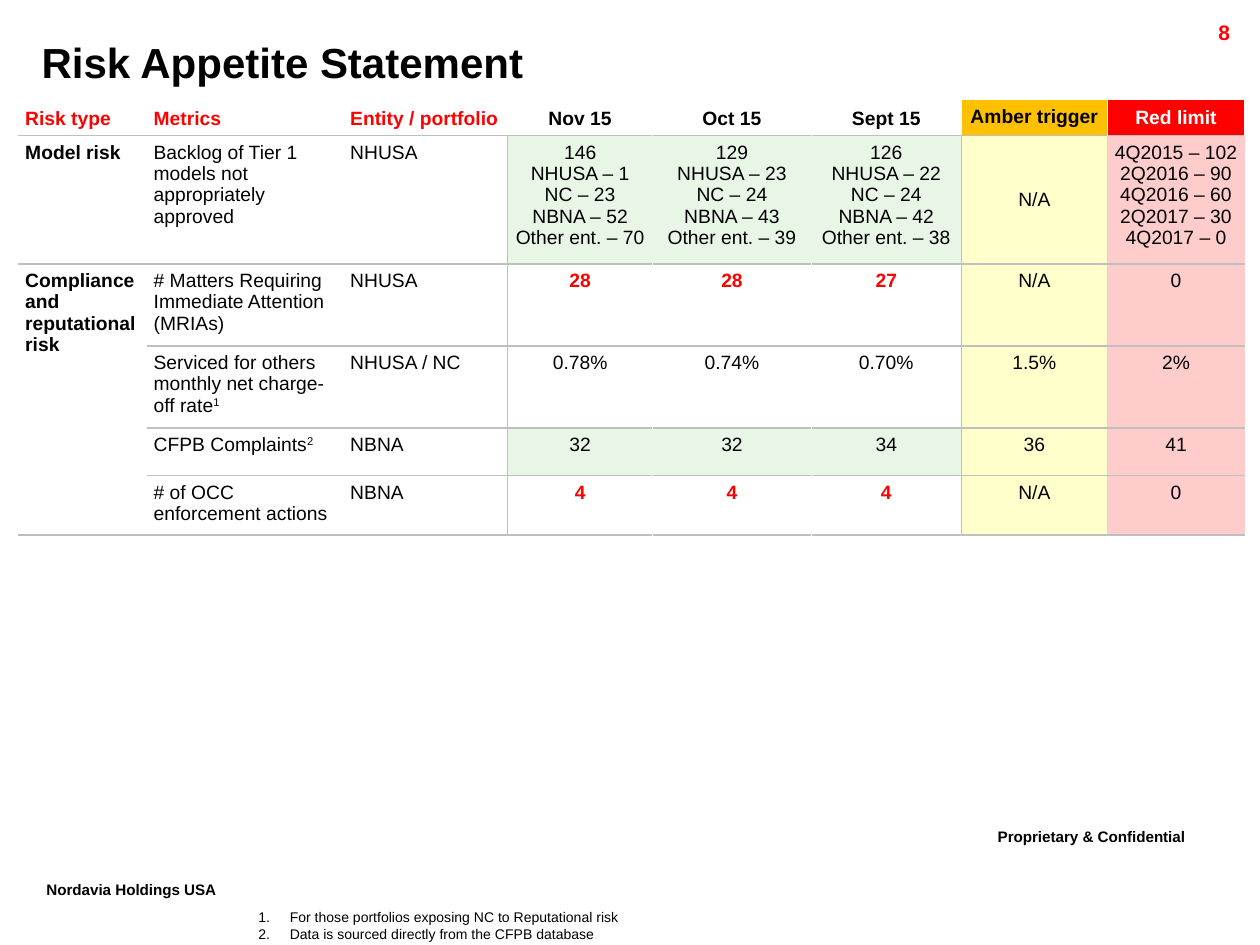
from dataclasses import dataclass
from typing import Any, Optional

from lxml.etree import SubElement
from pptx import Presentation
from pptx.enum.text import MSO_ANCHOR, MSO_AUTO_SIZE, PP_ALIGN
from pptx.oxml.ns import qn
from pptx.util import Inches, Pt
from pptx.dml.color import RGBColor

COLORS = {
    "black": "000000",
    "white": "FFFFFF",
    "red": "FF0000",
    "amber": "FFC000",
    "green_tint": "E8F6E6",
    "amber_tint": "FFFFCC",
    "red_tint": "FFCCCC",
    "rule": "BFBFBF",
}
FONT = "Arial"
COLUMN_WIDTHS = [1.02, 1.56, 1.3, 1.15, 1.26, 1.19, 1.16, 1.09]
HEADER_HEIGHT = 0.27
HEADERS = ["Risk type", "Metrics", "Entity / portfolio", "Nov 15", "Oct 15",
           "Sept 15", "Amber trigger", "Red limit"]
HEADER_FILLS = [None] * 3 + ["white"] * 3 + ["amber", "red"]
HEADER_INKS = ["red"] * 3 + ["black"] * 4 + ["white"]
HEADER_ANCHORS = [MSO_ANCHOR.BOTTOM] * 6 + [MSO_ANCHOR.TOP, MSO_ANCHOR.MIDDLE]
FIRST_MONTH, AMBER_COLUMN = 3, 6
RULED_EDGES = {FIRST_MONTH, AMBER_COLUMN}


@dataclass
class Metric:
    height: float
    risk: str
    name: str
    entity: str
    months: list[str]
    amber: str
    limit: str
    month_fill: Optional[str] = None
    breached: bool = False
    amber_anchor: Any = MSO_ANCHOR.TOP


@dataclass
class Label:
    text: str
    left: float
    top: float
    width: float
    height: float
    size: float
    color: str = "black"
    alignment: Any = PP_ALIGN.LEFT
    raised: bool = False


METRICS = [
    Metric(1.02, "Model risk", "Backlog of Tier 1 models not appropriately approved", "NHUSA",
           ["146\nNHUSA – 1\nNC – 23\nNBNA – 52\nOther ent. – 70",
            "129\nNHUSA – 23\nNC – 24\nNBNA – 43\nOther ent. – 39",
            "126\nNHUSA – 22\nNC – 24\nNBNA – 42\nOther ent. – 38"],
           "N/A", "4Q2015 – 102\n2Q2016 – 90\n4Q2016 – 60\n2Q2017 – 30\n4Q2017 – 0",
           "green_tint", amber_anchor=MSO_ANCHOR.MIDDLE),
    Metric(0.65, "Compliance and reputational risk",
           "# Matters Requiring Immediate Attention (MRIAs)", "NHUSA",
           ["28", "28", "27"], "N/A", "0", breached=True),
    Metric(0.65, "", "Serviced for others monthly net charge-off rate^1", "NHUSA / NC",
           ["0.78%", "0.74%", "0.70%"], "1.5%", "2%", "white"),
    Metric(0.38, "", "CFPB Complaints^2", "NBNA",
           ["32", "32", "34"], "36", "41", "green_tint"),
    Metric(0.47, "", "# of OCC enforcement actions", "NBNA",
           ["4", "4", "4"], "N/A", "0", breached=True),
]
LABELS = [
    Label("Proprietary & Confidential", 7.82, 6.49, 2.18, 0.35, 15, raised=True),
    Label("Nordavia Holdings USA", 0.27, 6.91, 1.91, 0.35, 15, raised=True),
    Label("8", 8.91, 0.11, 0.95, 0.24, 12, "red", PP_ALIGN.RIGHT),
]
FOOTNOTES = ["For those portfolios exposing NC to Reputational risk",
             "Data is sourced directly from the CFPB database"]


def rgb(name: str) -> RGBColor:
    return RGBColor.from_string(COLORS[name])


def apply(target: Any, values: dict[str, Any]) -> None:
    for name, value in values.items():
        setattr(target, name, value)


def add_span(paragraph: Any, text: str, size: float, color: str = "black",
             bold: bool = False, raised: bool = False) -> None:
    span = paragraph.add_run()
    span.text = text
    apply(span.font, {"name": FONT, "size": Pt(size), "bold": bold})
    span.font.color.rgb = rgb(color)
    if raised:
        span.font._element.set("baseline", "30000")


def place(box: Any, left: float, top: float, width: float, height: float) -> None:
    apply(box, {"left": Inches(left), "top": Inches(top),
                "width": Inches(width), "height": Inches(height)})


def draw_label(page: Any, label: Label) -> None:
    box = page.shapes.add_textbox(Inches(label.left), Inches(label.top),
                                  Inches(label.width), Inches(label.height))
    box.text_frame.word_wrap = True
    paragraph = box.text_frame.paragraphs[0]
    paragraph.alignment = label.alignment
    add_span(paragraph, label.text, label.size, label.color, True, label.raised)


def set_borders(cell: Any, borders: dict[str, str]) -> None:
    properties = cell._tc.get_or_add_tcPr()
    for side in "LRTB":
        line = SubElement(properties, qn(f"a:ln{side}"), w=str(Pt(1)))
        fill = SubElement(line, qn("a:solidFill"))
        SubElement(fill, qn("a:srgbClr"), val=COLORS[borders[side]])


def fill_cell(cell: Any, text: str, fill: Optional[str], borders: dict[str, str],
              alignment: Any, anchor: Any, color: str, bold: bool) -> None:
    set_borders(cell, borders)
    if fill:
        cell.fill.solid()
        cell.fill.fore_color.rgb = rgb(fill)
    else:
        cell.fill.background()
    margins = ("margin_left", "margin_right", "margin_top", "margin_bottom")
    apply(cell, {"vertical_anchor": anchor, **dict.fromkeys(margins, Inches(0.05))})
    for index, line in enumerate(text.split("\n") if text else []):
        frame = cell.text_frame
        paragraph = frame.add_paragraph() if index else frame.paragraphs[0]
        paragraph.alignment = alignment
        body, _, note = line.partition("^")
        add_span(paragraph, body, 11, color, bold)
        if note:
            add_span(paragraph, note, 11, color, bold, True)


def draw_header(table: Any) -> None:
    borders = {"L": "white", "R": "white", "T": "white", "B": "rule"}
    columns = zip(HEADERS, HEADER_FILLS, HEADER_INKS, HEADER_ANCHORS)
    for column, (text, fill, ink, anchor) in enumerate(columns):
        alignment = PP_ALIGN.CENTER if column >= FIRST_MONTH else PP_ALIGN.LEFT
        fill_cell(table.cell(0, column), text, fill, borders, alignment, anchor, ink, True)


def draw_metric(table: Any, row: int, metric: Metric) -> None:
    texts = [metric.risk, metric.name, metric.entity, *metric.months, metric.amber, metric.limit]
    fills = [None] * 3 + [metric.month_fill] * 3 + ["amber_tint", "red_tint"]
    for column, (text, fill) in enumerate(zip(texts, fills)):
        is_month = FIRST_MONTH <= column < AMBER_COLUMN
        breached = is_month and metric.breached
        edge = fill or "white"
        borders = {
            "L": "rule" if column in RULED_EDGES else edge,
            "R": "rule" if column + 1 in RULED_EDGES else edge,
            "T": "rule" if text else "white",
            "B": "rule" if text or row == len(METRICS) else "white",
        }
        fill_cell(table.cell(row, column), text, fill, borders,
                  PP_ALIGN.CENTER if column >= FIRST_MONTH else PP_ALIGN.LEFT,
                  metric.amber_anchor if column == AMBER_COLUMN else MSO_ANCHOR.TOP,
                  "red" if breached else "black", breached or column == 0)


def draw_table(page: Any) -> None:
    heights = [HEADER_HEIGHT] + [metric.height for metric in METRICS]
    table = page.shapes.add_table(len(heights), len(COLUMN_WIDTHS), Inches(0.15), Inches(0.79),
                                  Inches(sum(COLUMN_WIDTHS)), Inches(sum(heights))).table
    apply(table, {"first_row": False, "horz_banding": False})
    for column, width in zip(table.columns, COLUMN_WIDTHS):
        column.width = Inches(width)
    for row, height in zip(table.rows, heights):
        row.height = Inches(height)
    draw_header(table)
    for row, metric in enumerate(METRICS, start=1):
        draw_metric(table, row, metric)
    table.cell(2, 0).merge(table.cell(len(METRICS), 0))


def draw_title(box: Any) -> None:
    place(box, 0.23, 0.24, 9.82, 0.5)
    apply(box.text_frame, {"auto_size": MSO_AUTO_SIZE.NONE, "vertical_anchor": MSO_ANCHOR.MIDDLE})
    paragraph = box.text_frame.paragraphs[0]
    paragraph.alignment = PP_ALIGN.LEFT
    add_span(paragraph, "Risk Appetite Statement", 24, bold=True)


def draw_footnotes(box: Any) -> None:
    place(box, 1.95, 7.16, 5.84, 0.37)
    frame = box.text_frame
    frame.auto_size = MSO_AUTO_SIZE.NONE
    for index, text in enumerate(FOOTNOTES):
        paragraph = frame.add_paragraph() if index else frame.paragraphs[0]
        properties = paragraph._p.get_or_add_pPr()
        properties.set("marL", str(Inches(0.25)))
        properties.set("indent", str(-Inches(0.25)))
        paragraph.space_before = Pt(0)
        SubElement(properties, qn("a:buFont"), typeface=FONT)
        SubElement(properties, qn("a:buAutoNum"), type="arabicPeriod")
        add_span(paragraph, text, 8)


def main() -> None:
    deck = Presentation()
    apply(deck, {"slide_width": Inches(10), "slide_height": Inches(7.5)})
    page = deck.slides.add_slide(deck.slide_layouts[1])
    for label in LABELS:
        draw_label(page, label)
    draw_title(page.shapes.title)
    draw_table(page)
    draw_footnotes(page.placeholders[1])
    deck.save("out.pptx")


if __name__ == "__main__":
    main()
